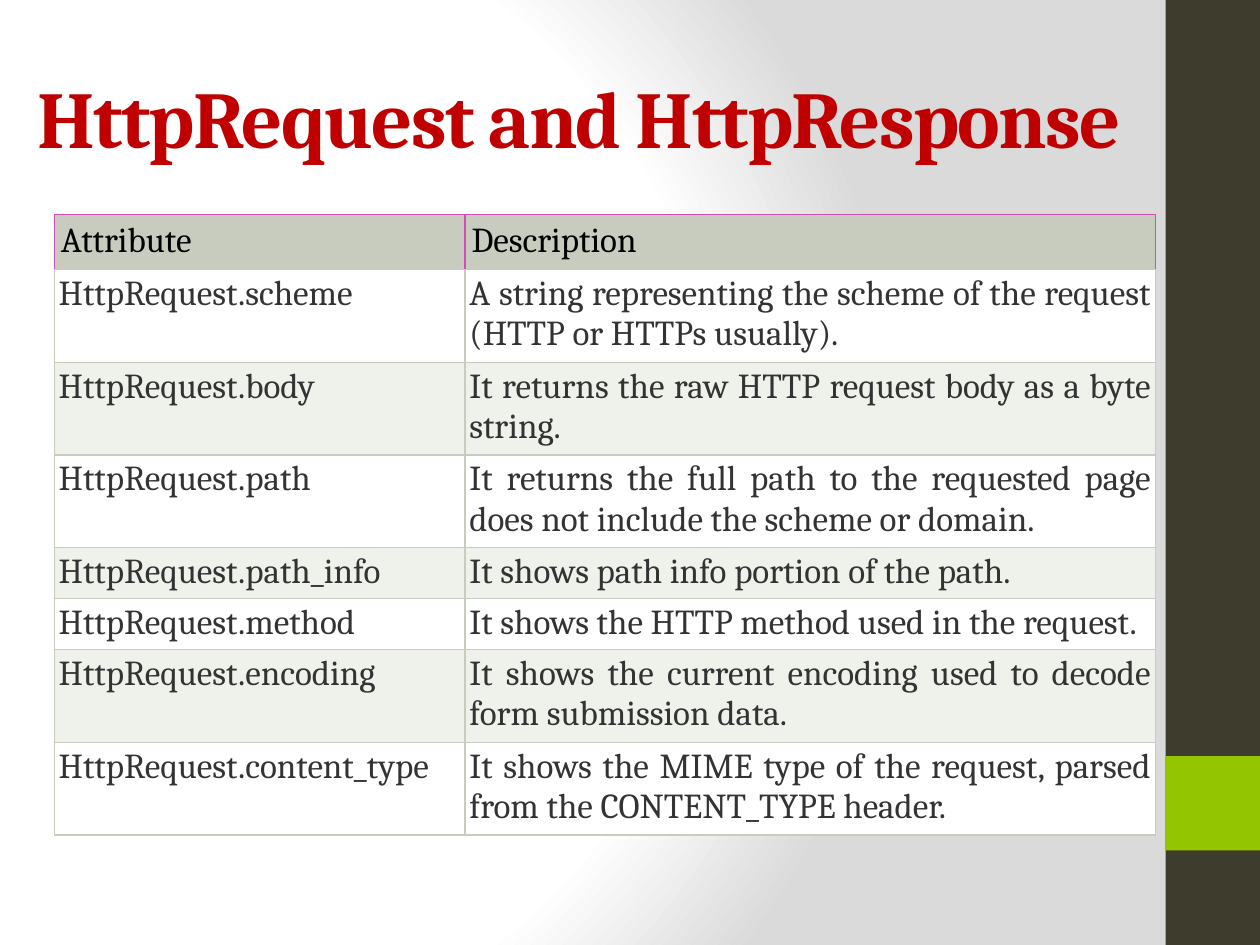
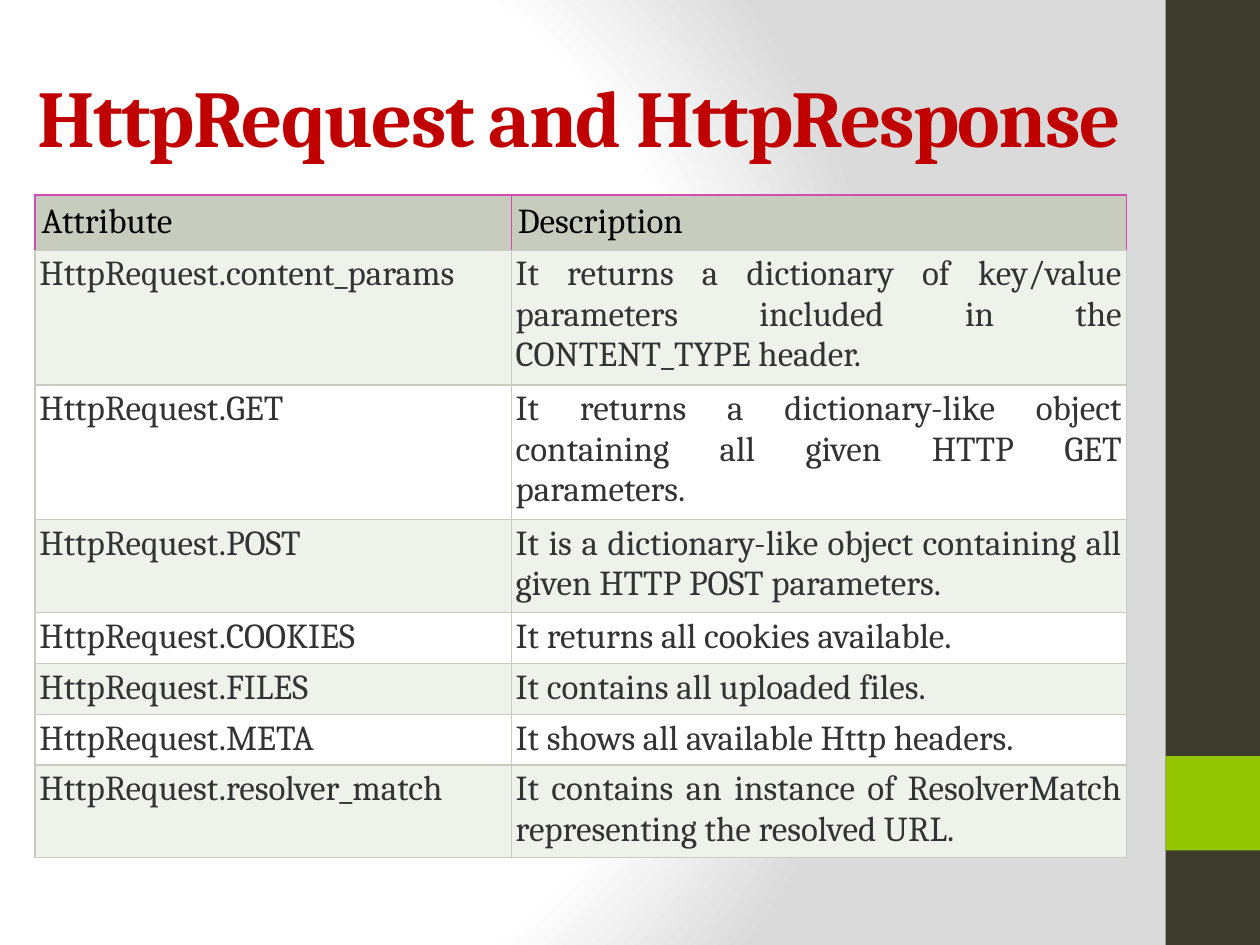
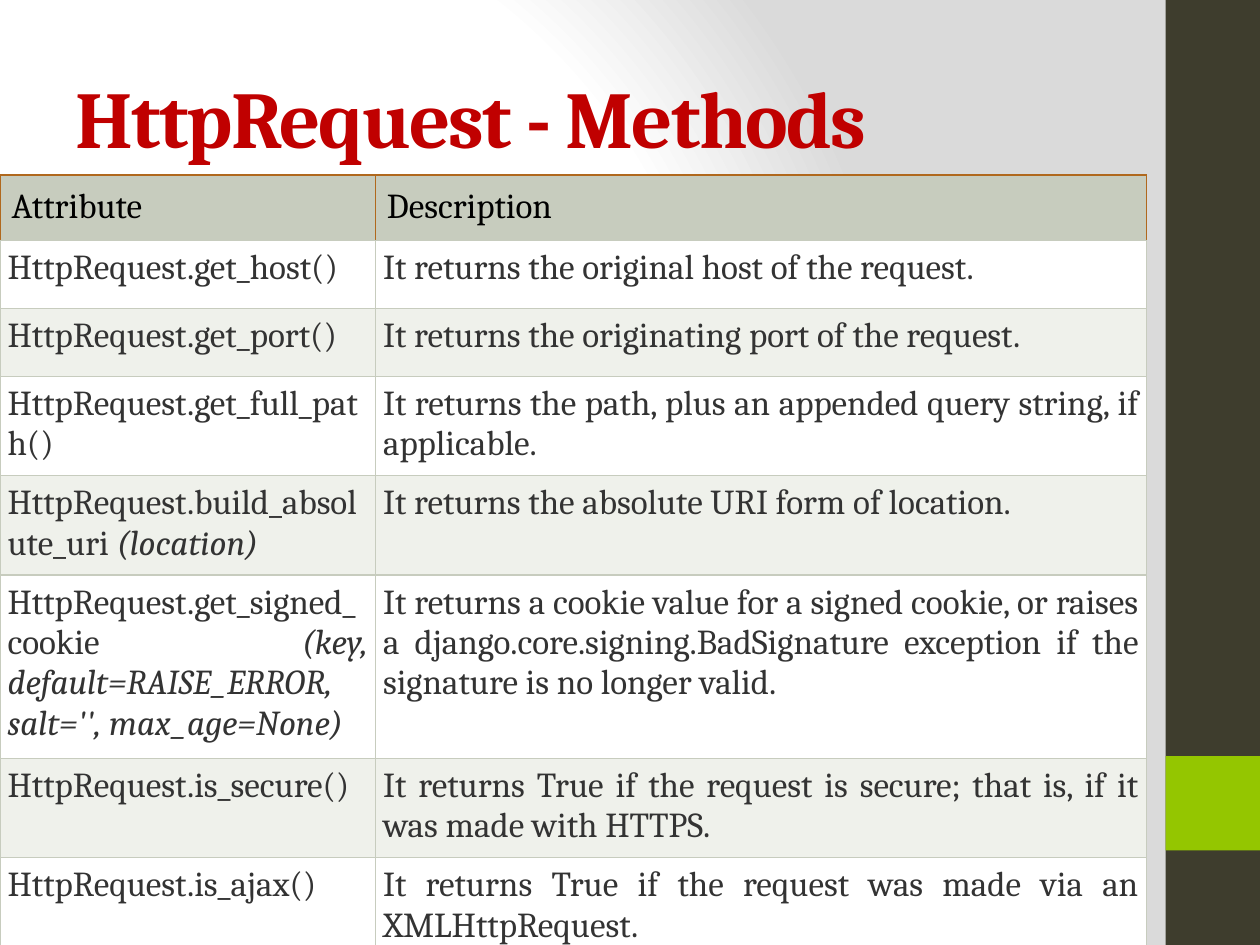
from typing import NamedTuple

from lxml.etree import SubElement
from pptx import Presentation
from pptx.dml.color import RGBColor
from pptx.enum.shapes import MSO_SHAPE
from pptx.enum.text import MSO_ANCHOR, PP_ALIGN
from pptx.oxml.ns import qn
from pptx.util import Pt

COLORS = {
    "white": "FFFFFF", "shade": "DADADA", "band": "3E3D2D", "accent": "94C600",
    "title": "C00000", "header": "C7CCBE", "stripe": "EFF1EB",
    "pink": "D04DB4", "brown": "B0681D", "black": "000000", "body": "333333",
}
FONT = "Cambria"
BAND_LEFT, BAND_WIDTH = 666, 54


class Band(NamedTuple):
    top: float
    height: float
    color: str


class Row(NamedTuple):
    height: float
    attribute: str
    description: str
    arguments: str = ""


class Grid(NamedTuple):
    left: float
    top: float
    height: float
    columns: tuple[float, float]
    header_height: float
    header_inset: float
    body_inset: float
    header_border: str
    fills: tuple[str, str]
    rows: list[Row]


class Page(NamedTuple):
    title: str
    title_left: float
    title_top: float
    title_width: float
    grid: Grid


BANDS = [Band(0, 540, "band"), Band(432, 54, "accent")]

PAGES = [
    Page("HttpRequest and HttpResponse", 14.4, 21.6, 692, Grid(
        31, 122.4, 377, (234.72, 394.56), 16, 3.75, 2.5, "pink", ("white", "stripe"), [
            Row(31, "HttpRequest.scheme",
                "A string representing the scheme of the request (HTTP or HTTPs usually)."),
            Row(22, "HttpRequest.body",
                "It returns the raw HTTP request body as a byte string."),
            Row(31, "HttpRequest.path",
                "It returns the full path to the requested page does not include "
                "the scheme or domain."),
            Row(22, "HttpRequest.path_info", "It shows path info portion of the path."),
            Row(22, "HttpRequest.method", "It shows the HTTP method used in the request."),
            Row(31, "HttpRequest.encoding",
                "It shows the current encoding used to decode form submission data."),
            Row(31, "HttpRequest.content_type",
                "It shows the MIME type of the request, parsed from the CONTENT_TYPE header."),
        ])),
    Page("HttpRequest and HttpResponse", 14.4, 20.9, 680.4, Grid(
        20, 111.4, 377, (272.16, 351.36), 16, 3.75, 2.5, "pink", ("stripe", "white"), [
            Row(31, "HttpRequest.content_params",
                "It returns a dictionary of key/value parameters included in the "
                "CONTENT_TYPE header."),
            Row(31, "HttpRequest.GET",
                "It returns a dictionary-like object containing all given HTTP GET parameters."),
            Row(31, "HttpRequest.POST",
                "It is a dictionary-like object containing all given HTTP POST parameters."),
            Row(14, "HttpRequest.COOKIES", "It returns all cookies available."),
            Row(14, "HttpRequest.FILES", "It contains all uploaded files."),
            Row(22, "HttpRequest.META", "It shows all available Http headers."),
            Row(31, "HttpRequest.resolver_match",
                "It contains an instance of ResolverMatch representing the resolved URL."),
        ])),
    Page("HttpRequest - Methods", 36, 21.6, 600, Grid(
        0, 100, 445.5, (214.56, 440.64), 28, 6.6, 4.35, "brown", ("white", "stripe"), [
            Row(39, "HttpRequest.get_host()", "It returns the original host of the request."),
            Row(39, "HttpRequest.get_port()", "It returns the originating port of the request."),
            Row(54.5, "HttpRequest.get_full_path()",
                "It returns the path, plus an appended query string, if applicable."),
            Row(39, "HttpRequest.build_absolute_uri ",
                "It returns the absolute URI form of location.", "(location)"),
            Row(85, "HttpRequest.get_signed_cookie ",
                "It returns a cookie value for a signed cookie, or raises a "
                "django.core.signing.BadSignature exception if the signature is no longer valid.",
                "(key, default=RAISE_ERROR, salt='', max_age=None)"),
            Row(54.5, "HttpRequest.is_secure()",
                "It returns True if the request is secure; that is, if it was made with HTTPS."),
            Row(39, "HttpRequest.is_ajax()",
                "It returns True if the request was made via an XMLHttpRequest."),
        ])),
]


def rgb(name: str) -> RGBColor:
    return RGBColor.from_string(COLORS[name])


def format_span(span, size: float, color: str, bold: bool = False) -> None:
    span.font.name = FONT
    span.font.size = Pt(size)
    span.font.bold = bold
    span.font.color.rgb = rgb(color)


def set_background(master) -> None:
    """Give every slide the radial white-to-grey gradient."""
    master.background.fill.gradient()
    gradient = master.element.find(".//" + qn("a:gradFill"))
    for child in list(gradient):
        gradient.remove(child)
    stops = SubElement(gradient, qn("a:gsLst"))
    for position, color in ((0, "white"), (75, "white"), (100, "shade")):
        stop = SubElement(stops, qn("a:gs"), pos=str(position * 1000))
        SubElement(stop, qn("a:srgbClr"), val=COLORS[color])
    circle = SubElement(gradient, qn("a:path"), path="circle")
    SubElement(circle, qn("a:fillToRect"), l="20000", t="50000", r="100000", b="50000")


def draw_band(slide, band: Band) -> None:
    shape = slide.shapes.add_shape(
        MSO_SHAPE.RECTANGLE, Pt(BAND_LEFT), Pt(band.top), Pt(BAND_WIDTH), Pt(band.height))
    shape.shadow.inherit = False
    shape.fill.solid()
    shape.fill.fore_color.rgb = rgb(band.color)
    shape.line.fill.background()


def draw_title(slide, page: Page) -> None:
    box = slide.shapes.add_textbox(
        Pt(page.title_left), Pt(page.title_top), Pt(page.title_width), Pt(90))
    frame = box.text_frame
    frame.word_wrap = True
    frame.vertical_anchor = MSO_ANCHOR.MIDDLE
    frame.text = page.title
    span = frame.paragraphs[0].runs[0]
    format_span(span, 46, "title", bold=True)
    span.font.element.set("spc", "-100") if hasattr(span.font, "element") else \
        span.font._element.set("spc", "-100")


def style_cell(cell, fill: str, border: str, inset: float) -> None:
    properties = cell._tc.get_or_add_tcPr()
    edges = {"lnL": border, "lnR": border, "lnT": border, "lnB": "header"}
    for edge, color in edges.items():
        line = SubElement(properties, qn(f"a:{edge}"), w=str(Pt(0.75)))
        solid = SubElement(line, qn("a:solidFill"))
        SubElement(solid, qn("a:srgbClr"), val=COLORS[color])
    cell.fill.solid()
    cell.fill.fore_color.rgb = rgb(fill)
    cell.margin_left = cell.margin_right = Pt(inset)
    cell.margin_top = cell.margin_bottom = Pt(inset)


def write_cell(cell, text: str, color: str, arguments: str = "") -> None:
    para = cell.text_frame.paragraphs[0]
    para.text = text
    if arguments:
        span = para.add_run()
        span.text = arguments
        span.font.italic = True
    for span in para.runs:
        format_span(span, 20, color)


def draw_grid(slide, grid: Grid) -> None:
    frame = slide.shapes.add_table(
        len(grid.rows) + 1, 2, Pt(grid.left), Pt(grid.top),
        Pt(sum(grid.columns)), Pt(grid.height))
    table = frame.table
    for column, width in zip(table.columns, grid.columns):
        column.width = Pt(width)

    # Header row
    table.rows[0].height = Pt(grid.header_height)
    for cell, label in zip(table.rows[0].cells, ("Attribute", "Description")):
        style_cell(cell, "header", grid.header_border, grid.header_inset)
        write_cell(cell, label, "black")

    # Body rows with alternating fills
    for index, row in enumerate(grid.rows):
        table_row = table.rows[index + 1]
        table_row.height = Pt(row.height)
        for cell in table_row.cells:
            style_cell(cell, grid.fills[index % 2], "header", grid.body_inset)
            cell.text_frame.paragraphs[0].alignment = PP_ALIGN.JUSTIFY
        write_cell(table_row.cells[0], row.attribute, "body", row.arguments)
        write_cell(table_row.cells[1], row.description, "body")
    frame.height = Pt(grid.height)


def main() -> None:
    deck = Presentation()
    deck.slide_width, deck.slide_height = Pt(720), Pt(540)
    set_background(deck.slide_master)
    for page in PAGES:
        slide = deck.slides.add_slide(deck.slide_layouts[6])
        for band in BANDS:
            draw_band(slide, band)
        draw_title(slide, page)
        draw_grid(slide, page.grid)
    deck.save("out.pptx")


if __name__ == "__main__":
    main()
